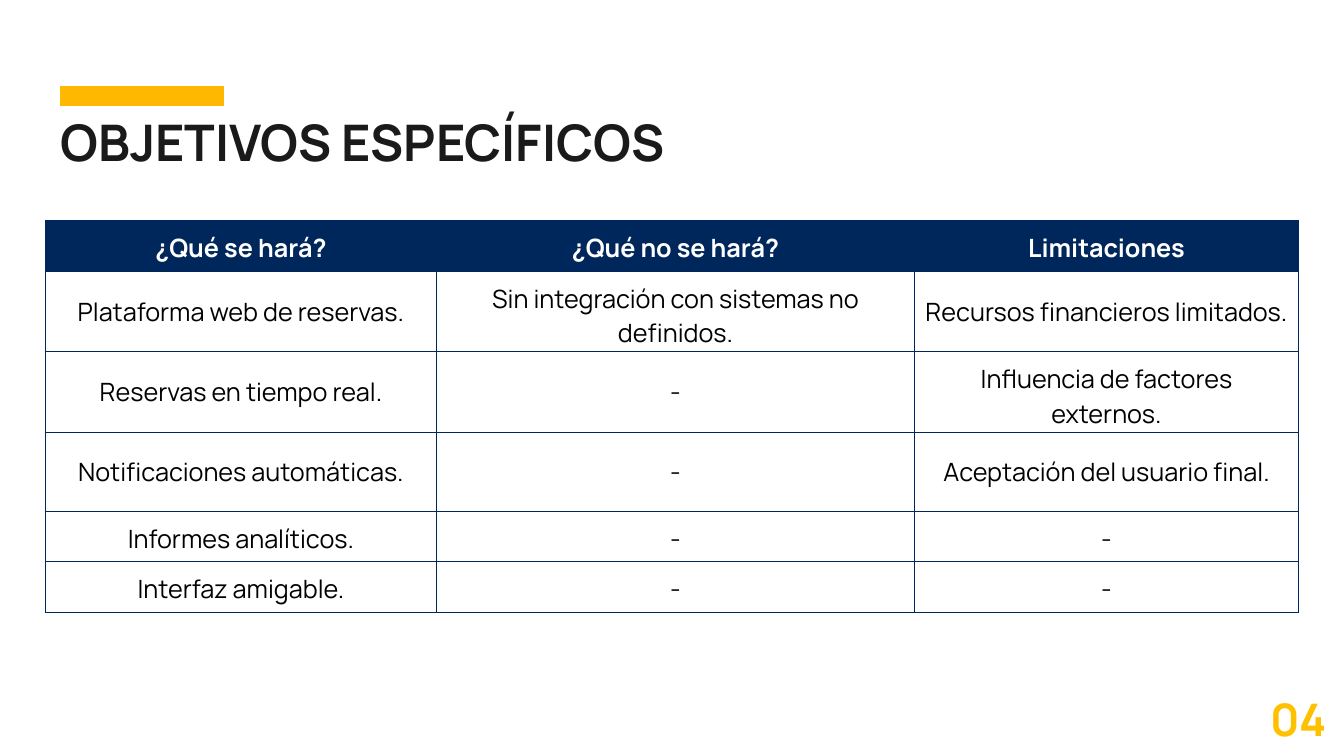
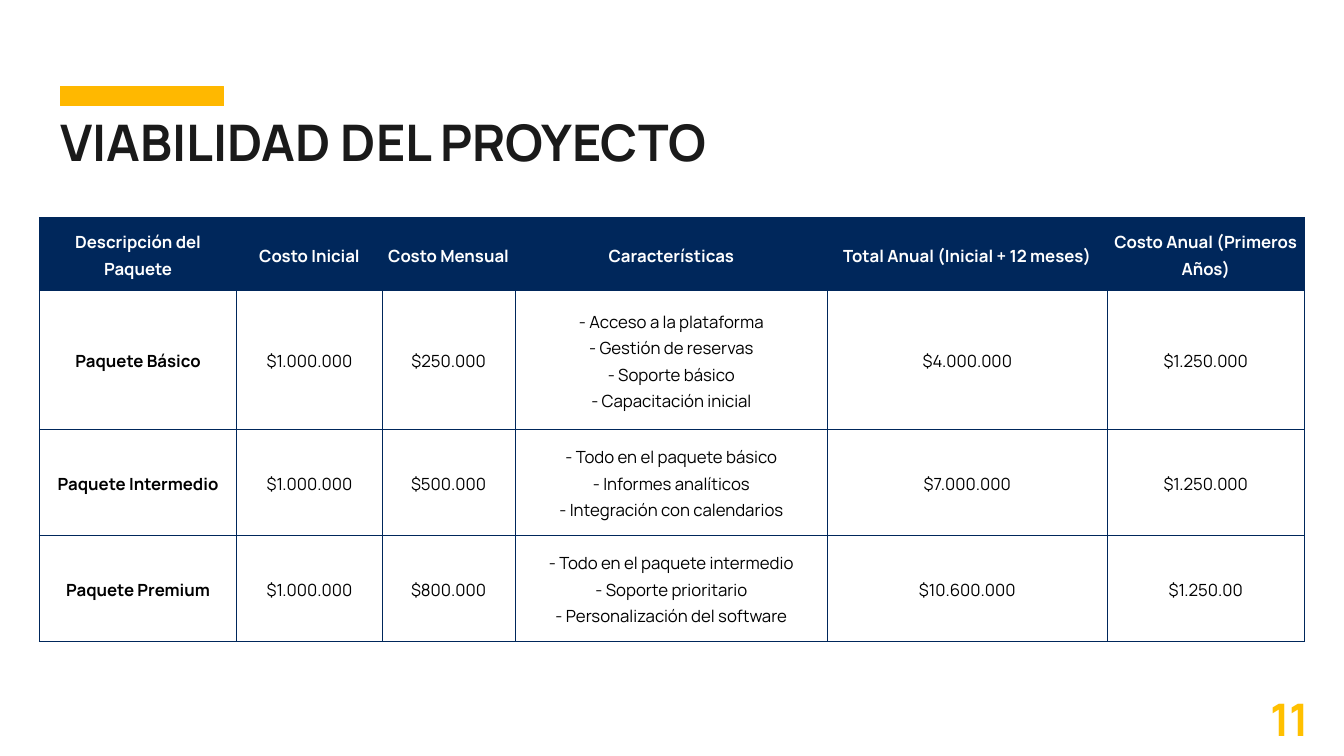
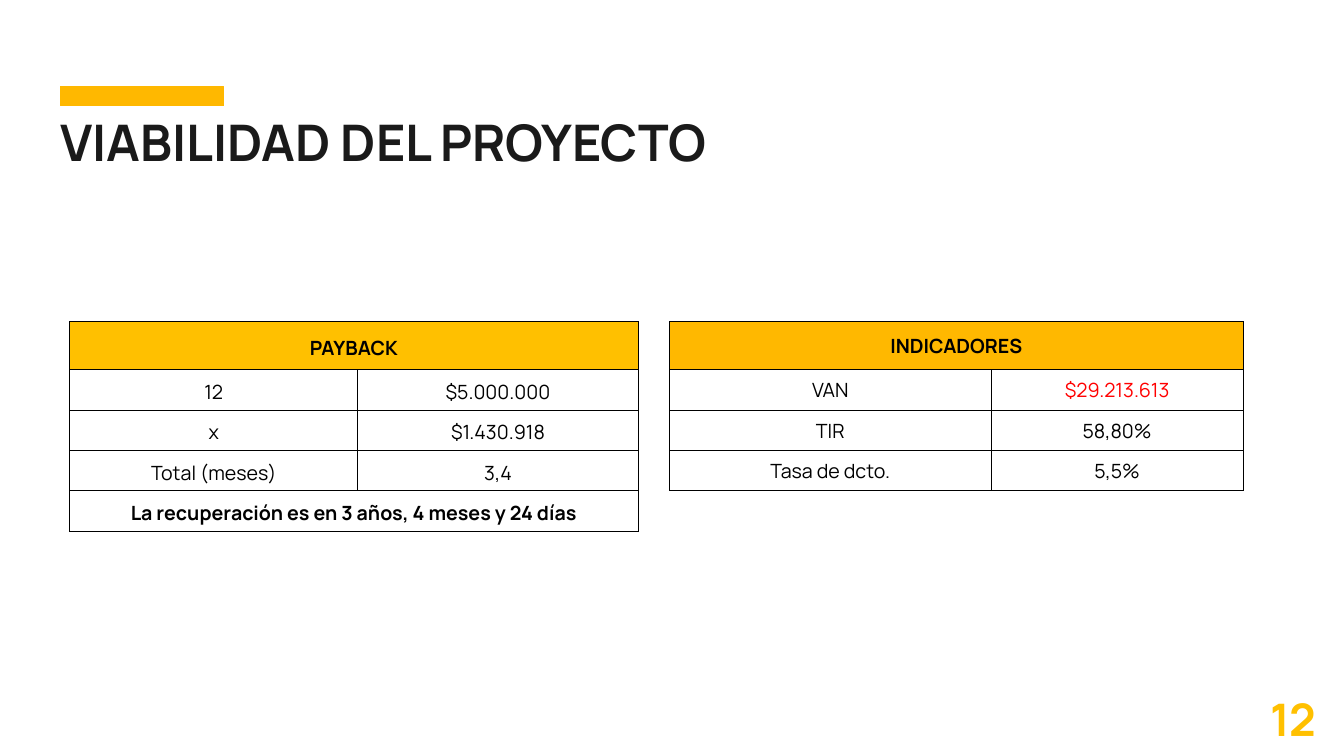
from dataclasses import dataclass

from lxml.etree import SubElement
from pptx import Presentation
from pptx.dml.color import RGBColor
from pptx.enum.shapes import MSO_SHAPE
from pptx.enum.text import MSO_ANCHOR, MSO_AUTO_SIZE, PP_ALIGN
from pptx.oxml.ns import qn
from pptx.util import Inches, Pt


@dataclass(frozen=True)
class Theme:
    font: str = "Manrope"
    navy: str = "00275B"
    amber: str = "FFB800"
    gold: str = "FFC000"
    ink: str = "1A1A1A"
    black: str = "000000"
    white: str = "FFFFFF"
    red: str = "FF0000"
    title_size: int = 36
    number_size: int = 32
    goals_size: int = 18
    indicator_size: int = 14
    package_size: int = 12
    border_width: float = 0.75


@dataclass(frozen=True)
class TableStyle:
    header_fill: str
    header_color: str
    border: str
    size: int
    margins: tuple = (0.03, 0.02)  # horizontal, vertical
    line_spacing: float = 1.0
    bold_rows: tuple = (0,)
    bold_columns: tuple = ()


THEME = Theme()
TITLE_BOX = (0.5, 1.05, 6.91, 0.71)
ACCENT_BOX = (0.6, 0.86, 1.62, 0.19)
NUMBER_BOX = (12.5, 6.76, 0.83, 0.74)

GOALS = [
    ["¿Qué se hará?", "¿Qué no se hará?", "Limitaciones"],
    ["Plataforma web de reservas.", "Sin integración con sistemas no definidos.",
     "Recursos financieros limitados."],
    ["Reservas en tiempo real.", "-", "Influencia de factores externos."],
    ["Notificaciones automáticas.", "-", "Aceptación del usuario final."],
    ["Informes analíticos.", "-", "-"],
    ["Interfaz amigable.", "-", "-"],
]
PACKAGES = [
    ["Descripción del Paquete", "Costo Inicial", "Costo Mensual", "Características",
     "Total Anual (Inicial + 12 meses)", "Costo Anual (Primeros Años)"],
    ["Paquete Básico", "$1.000.000", "$250.000",
     "- Acceso a la plataforma\n- Gestión de reservas\n- Soporte básico\n- Capacitación inicial",
     "$4.000.000", "$1.250.000"],
    ["Paquete Intermedio", "$1.000.000", "$500.000",
     "- Todo en el paquete básico\n- Informes analíticos\n- Integración con calendarios",
     "$7.000.000", "$1.250.000"],
    ["Paquete Premium", "$1.000.000", "$800.000",
     "- Todo en el paquete intermedio\n- Soporte prioritario\n- Personalización del software",
     "$10.600.000", "$1.250.00"],
]
# A row with a single entry spans the whole table
INDICATORS = [["INDICADORES"], ["VAN", "$29.213.613"], ["TIR", "58,80%"],
              ["Tasa de dcto.", "5,5%"]]
PAYBACK = [["PAYBACK"], ["12", "$5.000.000"], ["x", "$1.430.918"], ["Total (meses)", "3,4"],
           ["La recuperación es en 3 años, 4 meses y 24 días"]]


def inches(box):
    return [Inches(length) for length in box]


def add_run(paragraph, text, size, color, bold):
    run = paragraph.add_run()
    run.text = text
    run.font.name = THEME.font
    run.font.size = Pt(size)
    run.font.bold = bold
    run.font.color.rgb = RGBColor.from_string(color)


def set_margins(frame, horizontal, vertical):
    frame.margin_left = frame.margin_right = Inches(horizontal)
    frame.margin_top = frame.margin_bottom = Inches(vertical)


def add_accent(slide, box):
    accent = slide.shapes.add_shape(MSO_SHAPE.RECTANGLE, *inches(box))
    accent.shadow.inherit = False
    accent.fill.solid()
    accent.fill.fore_color.rgb = RGBColor.from_string(THEME.amber)
    accent.line.color.rgb = RGBColor.from_string(THEME.amber)
    accent.line.width = Pt(1)


def add_title(slide, heading, box):
    title = slide.shapes.title
    title.left, title.top, title.width, title.height = inches(box)
    frame = title.text_frame
    frame.word_wrap = True
    frame.auto_size = MSO_AUTO_SIZE.SHAPE_TO_FIT_TEXT
    frame.vertical_anchor = MSO_ANCHOR.TOP
    set_margins(frame, 0.1, 0.05)
    paragraph = frame.paragraphs[0]
    paragraph.alignment = PP_ALIGN.LEFT
    add_run(paragraph, heading, THEME.title_size, THEME.ink, True)


def add_number(slide, number, box):
    frame = slide.shapes.add_textbox(*inches(box)).text_frame
    frame.word_wrap = True
    set_margins(frame, 0.1, 0.1)
    add_run(frame.paragraphs[0], number, THEME.number_size, THEME.gold, True)


def add_content_slide(deck, heading, number):
    """Slide with the shared accent bar, title and page number."""
    slide = deck.slides.add_slide(deck.slide_layouts[5])
    add_accent(slide, ACCENT_BOX)
    add_title(slide, heading, TITLE_BOX)
    add_number(slide, number, NUMBER_BOX)
    return slide


def set_borders(cell, color):
    properties = cell._tc.get_or_add_tcPr()
    for side in ("a:lnL", "a:lnR", "a:lnT", "a:lnB"):
        line = SubElement(properties, qn(side), w=str(Pt(THEME.border_width)))
        fill = SubElement(line, qn("a:solidFill"))
        SubElement(fill, qn("a:srgbClr"), val=color)


def fill_cell(cell, text, style, color, bold):
    cell.vertical_anchor = MSO_ANCHOR.MIDDLE
    set_margins(cell, *style.margins)
    frame = cell.text_frame
    for index, line in enumerate(text.split("\n")):
        paragraph = frame.add_paragraph() if index else frame.paragraphs[0]
        paragraph.alignment = PP_ALIGN.CENTER
        paragraph.line_spacing = style.line_spacing
        add_run(paragraph, line, style.size, color, bold)


def add_data_table(slide, left, top, widths, heights, rows, style, highlights=None):
    """Grid with a coloured header; highlights maps (row, column) to a text colour."""
    highlights = highlights or {}
    frame = slide.shapes.add_table(len(rows), len(widths),
                                   *inches((left, top, sum(widths), sum(heights))))
    table = frame.table
    table.first_row = table.horz_banding = False
    for column, width in zip(table.columns, widths):
        column.width = Inches(width)
    for r, (entries, height) in enumerate(zip(rows, heights)):
        table.rows[r].height = Inches(height)
        # Borders and fills
        for c in range(len(widths)):
            cell = table.cell(r, c)
            set_borders(cell, style.border)
            if r == 0:
                cell.fill.solid()
                cell.fill.fore_color.rgb = RGBColor.from_string(style.header_fill)
            else:
                cell.fill.background()
        if len(entries) == 1:
            table.cell(r, 0).merge(table.cell(r, len(widths) - 1))
        # Entries
        for c, entry in enumerate(entries):
            color = style.header_color if r == 0 else highlights.get((r, c), THEME.black)
            bold = r in style.bold_rows or c in style.bold_columns
            fill_cell(table.cell(r, c), entry, style, color, bold)


def build_goals(deck):
    slide = add_content_slide(deck, "OBJETIVOS ESPECÍFICOS", "04")
    style = TableStyle(THEME.navy, THEME.white, THEME.navy, THEME.goals_size, margins=(0.1, 0.1))
    add_data_table(slide, 0.45, 2.19, [3.88, 4.74, 3.81],
                   [0.49] + [0.78] * 3 + [0.49] * 2, GOALS, style)


def build_packages(deck):
    slide = add_content_slide(deck, "VIABILIDAD DEL PROYECTO", "11")
    style = TableStyle(THEME.navy, THEME.white, THEME.navy, THEME.package_size,
                       line_spacing=1.15, bold_columns=(0,))
    add_data_table(slide, 0.39, 2.16, [1.96, 1.44, 1.32, 3.1, 2.77, 1.96],
                   [0.72, 1.38, 1.05, 1.05], PACKAGES, style)


def build_returns(deck):
    slide = add_content_slide(deck, "VIABILIDAD DEL PROYECTO", "12")
    top, header, row = 3.19, 0.48, 0.4
    indicators = TableStyle(THEME.amber, THEME.black, THEME.black, THEME.indicator_size)
    add_data_table(slide, 6.64, top, [3.19, 2.5], [header] + [row] * 3, INDICATORS,
                   indicators, {(1, 1): THEME.red})
    payback = TableStyle(THEME.gold, THEME.black, THEME.black, THEME.indicator_size,
                         line_spacing=1.15, bold_rows=(0, 4))
    add_data_table(slide, 0.69, top, [2.86, 2.78], [header] + [row] * 4, PAYBACK, payback)


def main():
    deck = Presentation()
    deck.slide_width, deck.slide_height = Inches(13.33), Inches(7.5)
    build_goals(deck)
    build_packages(deck)
    build_returns(deck)
    deck.save("out.pptx")


if __name__ == "__main__":
    main()
